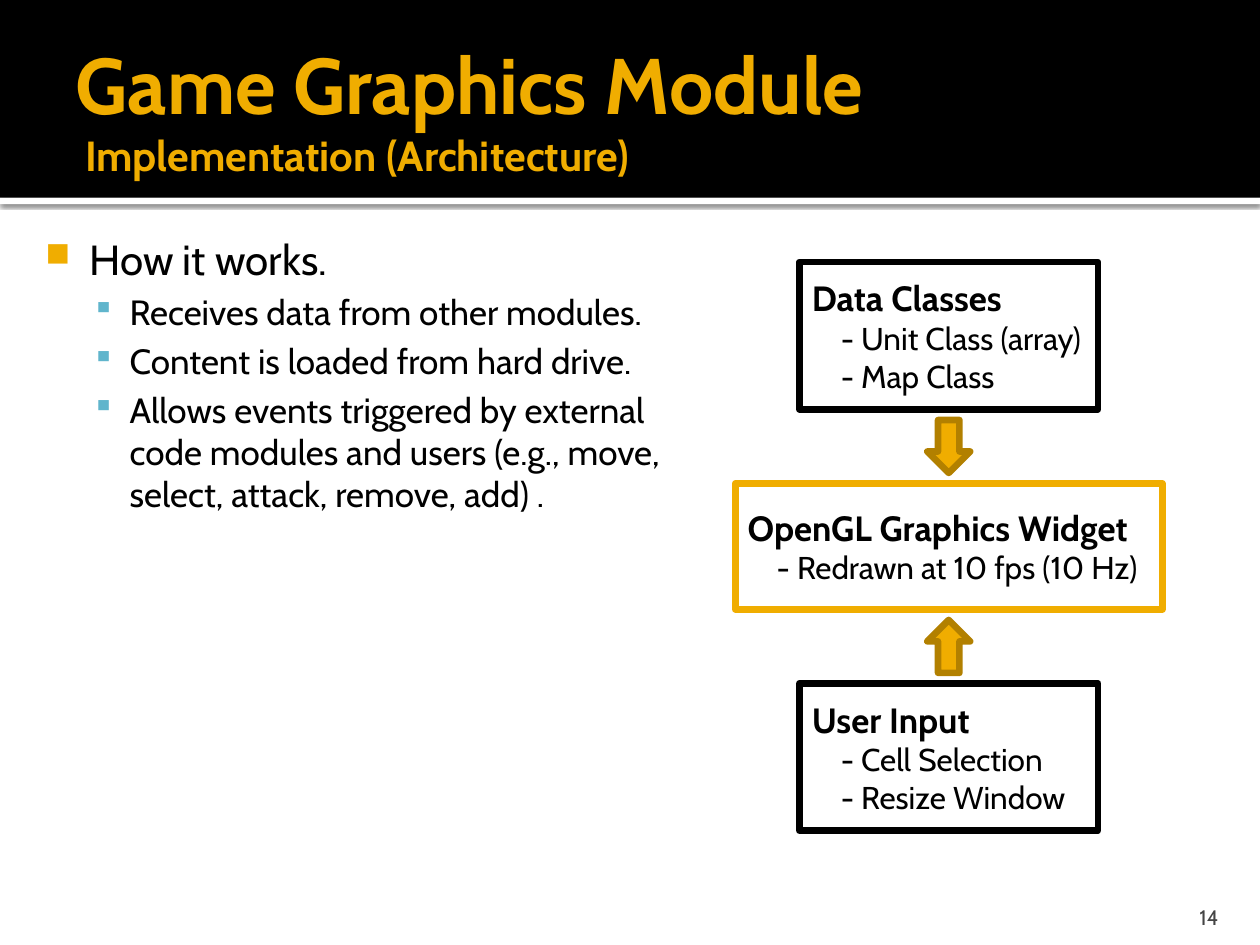
from lxml.etree import SubElement
from pptx import Presentation
from pptx.dml.color import RGBColor
from pptx.enum.shapes import MSO_SHAPE as Shape
from pptx.enum.text import MSO_ANCHOR as Anchor, MSO_AUTO_SIZE as AutoSize, PP_ALIGN as Align
from pptx.oxml.ns import qn
from pptx.util import Inches, Pt

COLORS = {"gold": "F0AD00", "dark_gold": "B28000", "blue": "60B5CC",
          "black": "000000", "white": "FFFFFF", "gray": "454545"}
FONT = "Cabin"
CENTER = 7.53
GAP = 1 / 12


def rgb(name):
    """Return the named palette colour."""
    return RGBColor.from_string(COLORS[name])


def write(paragraph, text, size=18, bold=False, color="black"):
    """Add a formatted run to a paragraph."""
    run = paragraph.add_run()
    run.text = text
    run.font.name = FONT
    run.font.size = Pt(size)
    run.font.bold = bold
    run.font.color.rgb = rgb(color)


def set_frame(frame, insets=(0.1, 0.05, 0.1, 0.05), anchor=Anchor.TOP):
    """Set wrapping, insets (left, top, right, bottom) and anchor."""
    frame.word_wrap = True
    frame.auto_size = AutoSize.NONE
    frame.vertical_anchor = anchor
    (frame.margin_left, frame.margin_top,
     frame.margin_right, frame.margin_bottom) = map(Inches, insets)


def next_paragraph(frame):
    """Return the empty first paragraph, or a new one after it."""
    first = frame.paragraphs[0]
    return frame.add_paragraph() if first.runs else first


def set_indent(paragraph, left, first=0):
    """Set the left margin and first-line indent in inches."""
    props = paragraph._p.get_or_add_pPr()
    props.set("marL", str(Inches(left)))
    props.set("indent", str(Inches(first)))
    return props


def add_bullet(frame, text, char, color, percent, size, left, hang, before=0, level=0):
    """Add a bulleted paragraph."""
    paragraph = next_paragraph(frame)
    paragraph.level = level
    paragraph.space_before = Pt(before)
    props = set_indent(paragraph, left, -hang)
    bullet_color = SubElement(props, qn("a:buClr"))
    SubElement(bullet_color, qn("a:srgbClr"), val=COLORS[color])
    SubElement(props, qn("a:buSzPct"), val=str(percent * 1000))
    SubElement(props, qn("a:buChar"), char=char)
    write(paragraph, text, size=size)


def add_block(shapes, kind, left, top, width, height, fill, line=None):
    """Add a filled preset shape, outlined if a line colour is given."""
    block = shapes.add_shape(kind, Inches(left), Inches(top), Inches(width), Inches(height))
    block.shadow.inherit = False
    block.fill.solid()
    block.fill.fore_color.rgb = rgb(fill)
    if line:
        block.line.color.rgb = rgb(line)
        block.line.width = Pt(3.78)
    else:
        block.line.fill.background()
    return block


def add_header(slide):
    """Add the black band, its shadowed edge and the title."""
    edge = add_block(slide.shapes, Shape.RECTANGLE, 0, 1.57, 10, 0.05, "white")
    effects = edge._element.spPr.find(qn("a:effectLst"))
    shadow = SubElement(effects, qn("a:outerShdw"), blurRad=str(Pt(2.5)),
                        dist=str(Pt(0.8)), dir="5400000", rotWithShape="0")
    shade = SubElement(shadow, qn("a:srgbClr"), val=COLORS["black"])
    SubElement(shade, qn("a:alpha"), val="60000")
    add_block(slide.shapes, Shape.RECTANGLE, 0, 0, 10, 1.57, "black")

    title = slide.shapes.title
    slide.shapes._spTree.append(title._element)
    title.left, title.top, title.width, title.height = map(Inches, (0.5, 0.17, 9, 1.37))
    set_frame(title.text_frame, (0.1, 0.05, 0.05, 0.05), Anchor.MIDDLE)
    heading = title.text_frame.paragraphs[0]
    heading.alignment = Align.LEFT
    write(heading, "Game Graphics Module", size=45, bold=True, color="gold")
    heading.add_line_break()
    write(heading, " Implementation (Architecture)", size=24, bold=True, color="gold")


def add_explanation(slide):
    """Add the bulleted explanation."""
    body = slide.shapes.add_textbox(Inches(0.17), Inches(1.75), Inches(5.33), Inches(5.5))
    frame = body.text_frame
    set_frame(frame, (0.06, 0.1, 0.1, 0.05))
    add_bullet(frame, "How it works.", "■", "gold", 80, 24, 0.48, 0.35)
    for point in ("Receives data from other modules.",
                  "Content is loaded from hard drive.",
                  "Allows events triggered by external code modules and users "
                  "(e.g., move, select, attack, remove, add) ."):
        add_bullet(frame, point, "▪", "blue", 90, 20, 0.8, 0.3, before=4, level=1)


def add_module(shapes, top, width, height, line, name, details):
    """Add a module box with its name and indented details."""
    box = add_block(shapes, Shape.RECTANGLE, CENTER - width / 2, top, width, height, "white", line)
    frame = box.text_frame
    set_frame(frame, anchor=Anchor.MIDDLE)
    for row, text in enumerate((name, *details)):
        paragraph = next_paragraph(frame)
        paragraph.alignment = Align.LEFT
        set_indent(paragraph, 0.23 if row else 0)
        write(paragraph, text, size=18 if row else 20, bold=not row)


def add_diagram(slide):
    """Stack the modules and the arrows between them."""
    shapes = slide.shapes.add_group_shape().shapes
    stack = (
        (1.17, (2.37, "black", "Data Classes", ("- Unit Class (array)", "- Map Class"))),
        (0.42, Shape.DOWN_ARROW),
        (1, (3.39, "gold", "OpenGL Graphics Widget", ("- Redrawn at 10 fps (10 Hz)",))),
        (0.42, Shape.UP_ARROW),
        (1.17, (2.37, "black", "User Input", ("- Cell Selection", "- Resize Window"))),
    )
    top = 2.08
    for height, content in stack:
        if isinstance(content, tuple):
            width, line, name, details = content
            add_module(shapes, top, width, height, line, name, details)
        else:
            add_block(shapes, content, CENTER - 0.17, top, 0.34, height, "gold", "dark_gold")
        top += height + GAP


def add_page_number(slide):
    """Add the page number at the lower right."""
    number = slide.shapes.add_textbox(Inches(8.97), Inches(7.08), Inches(0.8), Inches(0.3))
    set_frame(number.text_frame, (0.1, 0.05, 0.1, 0), Anchor.BOTTOM)
    paragraph = number.text_frame.paragraphs[0]
    paragraph.alignment = Align.RIGHT
    write(paragraph, "14", size=12, color="gray")


def main():
    """Build and save the slide."""
    deck = Presentation()
    deck.slide_width, deck.slide_height = Inches(10), Inches(7.5)
    slide = deck.slides.add_slide(deck.slide_layouts[5])
    add_header(slide)
    add_explanation(slide)
    add_page_number(slide)
    add_diagram(slide)
    deck.save("out.pptx")


if __name__ == "__main__":
    main()
